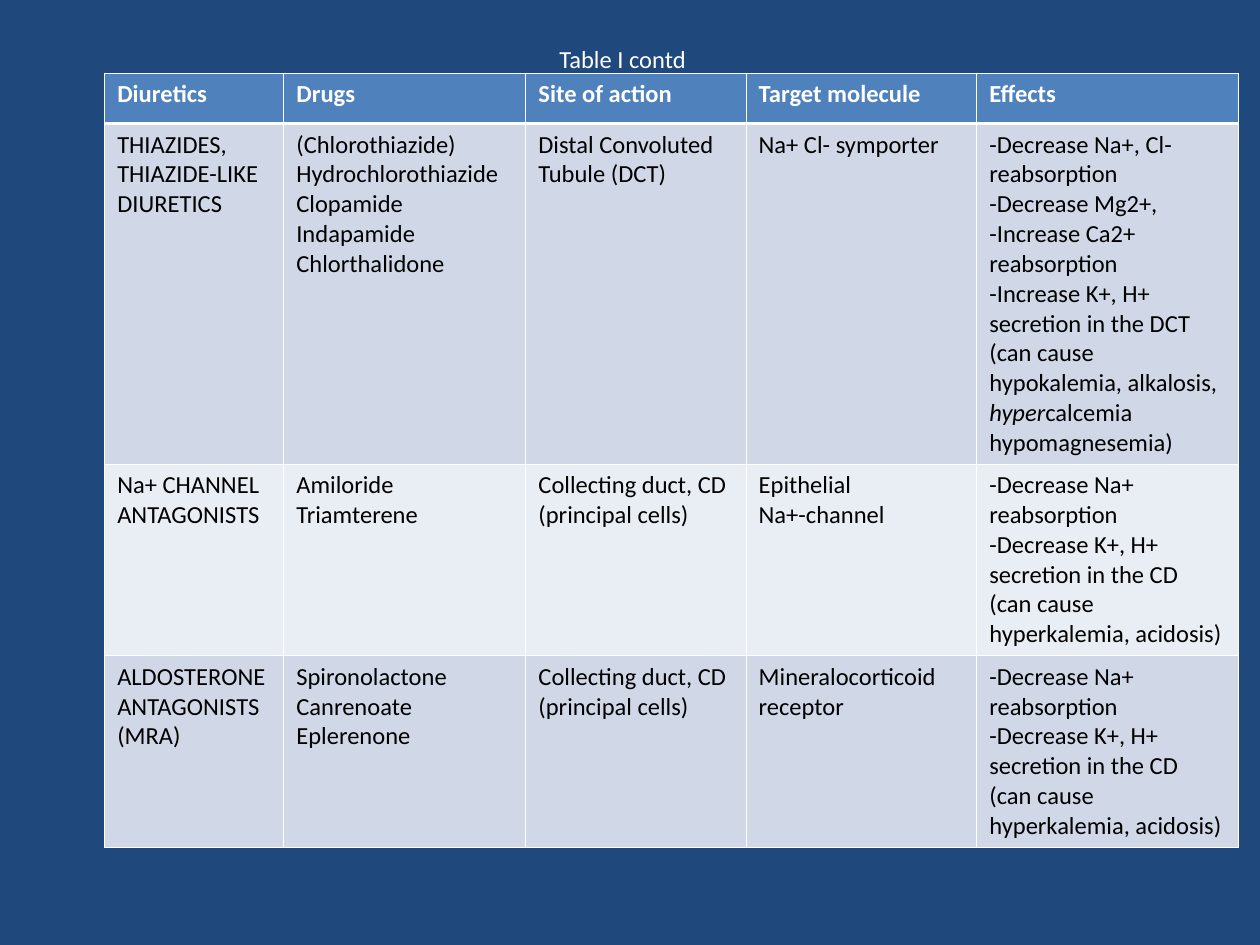
from dataclasses import dataclass
from typing import NamedTuple

from lxml import etree
from pptx import Presentation
from pptx import util as u
from pptx.dml.color import RGBColor
from pptx.enum import text
from pptx.oxml import ns


@dataclass(frozen=True)
class Theme:
    font: str = "Calibri"
    size: u.Length = u.Pt(14)
    background: RGBColor = RGBColor(0x1F, 0x49, 0x7D)
    header: RGBColor = RGBColor(0x4F, 0x81, 0xBD)
    bands: tuple = (RGBColor(0xD0, 0xD8, 0xE8), RGBColor(0xE9, 0xED, 0xF4))
    light: RGBColor = RGBColor(0xFF, 0xFF, 0xFF)
    dark: RGBColor = RGBColor(0, 0, 0)
    rule: u.Length = u.Pt(0.45)
    heavy_rule: u.Length = u.Pt(1.47)


THEME = Theme()


class DrugClass(NamedTuple):
    """One table row; each line is a paragraph and *stars* mark italics."""
    diuretics: str
    drugs: str
    site: str
    target: str
    effects: str
    height: float


HEADINGS = ("Diuretics", "Drugs", "Site of action", "Target molecule", "Effects")
HEADER_HEIGHT = 1.02
COLUMN_WIDTHS = (3.61, 4.88, 4.44, 4.65, 5.28)

COLLECTING_DUCT = "Collecting duct, CD\n(principal cells)"
POTASSIUM_SPARING = (
    "-Decrease Na+ reabsorption\n"
    "-Decrease K+, H+ secretion in the CD\n"
    "(can cause hyperkalemia, acidosis)"
)
DRUG_CLASSES = (
    DrugClass(
        "THIAZIDES,\nTHIAZIDE-LIKE\nDIURETICS",
        "(Chlorothiazide)\nHydrochlorothiazide\nClopamide\nIndapamide\nChlorthalidone",
        "Distal Convoluted Tubule (DCT)",
        "Na+ Cl- symporter",
        "-Decrease Na+, Cl- reabsorption\n"
        "-Decrease Mg2+,\n"
        "-Increase Ca2+ reabsorption\n"
        "-Increase K+, H+ secretion in the DCT\n"
        "(can cause hypokalemia, alkalosis,\n"
        "*hyper*calcemia\n"
        "hypomagnesemia)",
        6.78,
    ),
    DrugClass(
        "Na+ CHANNEL\nANTAGONISTS",
        "Amiloride\nTriamterene",
        COLLECTING_DUCT,
        "Epithelial\nNa+-channel",
        POTASSIUM_SPARING,
        3.81,
    ),
    DrugClass(
        "ALDOSTERONE\nANTAGONISTS\n(MRA)",
        "Spironolactone\nCanrenoate\nEplerenone",
        COLLECTING_DUCT,
        "Mineralocorticoid\nreceptor",
        POTASSIUM_SPARING,
        3.81,
    ),
)


def write_text(frame, content: str, color: RGBColor, bold: bool = False) -> None:
    """Write one paragraph per line, with starred parts in italics."""
    for number, line in enumerate(content.split("\n")):
        para = frame.add_paragraph() if number else frame.paragraphs[0]
        para.font.name = THEME.font
        para.font.size = THEME.size
        para.font.bold = bold
        para.font.color.rgb = color
        for part_number, part in enumerate(line.split("*")):
            if part:
                span = para.add_run()
                span.text = part
                if part_number % 2:
                    span.font.italic = True


def set_borders(cell, top: u.Length, bottom: u.Length) -> None:
    """Rule all four sides; border elements must come before the fill."""
    properties = cell._tc.get_or_add_tcPr()
    sides = (("lnL", THEME.rule), ("lnR", THEME.rule), ("lnT", top), ("lnB", bottom))
    for position, (side, width) in enumerate(sides):
        line = etree.Element(ns.qn(f"a:{side}"), w=str(int(width)))
        fill = etree.SubElement(line, ns.qn("a:solidFill"))
        etree.SubElement(fill, ns.qn("a:srgbClr"), val=str(THEME.light))
        properties.insert(position, line)


def add_title(page, content: str) -> None:
    title = page.shapes.title
    title.left, title.top = u.Cm(1.12), u.Cm(0.64)
    title.width, title.height = u.Cm(22.86), u.Cm(1.07)
    frame = title.text_frame
    frame.auto_size = text.MSO_AUTO_SIZE.NONE
    frame.vertical_anchor = text.MSO_ANCHOR.MIDDLE
    write_text(frame, content, THEME.light)
    frame.paragraphs[0].alignment = text.PP_ALIGN.CENTER


def add_drug_table(page) -> None:
    rows = (HEADINGS, *(entry[:-1] for entry in DRUG_CLASSES))
    heights = (HEADER_HEIGHT, *(entry.height for entry in DRUG_CLASSES))
    table = page.shapes.add_table(
        len(rows), len(HEADINGS), u.Cm(2.11), u.Cm(1.47),
        u.Cm(sum(COLUMN_WIDTHS)), u.Cm(sum(heights)),
    ).table
    for column, width in zip(table.columns, COLUMN_WIDTHS):
        column.width = u.Cm(width)
    for row_number, (contents, height) in enumerate(zip(rows, heights)):
        table.rows[row_number].height = u.Cm(height)
        is_header = row_number == 0
        band = THEME.header if is_header else THEME.bands[(row_number - 1) % 2]
        color = THEME.light if is_header else THEME.dark
        top = THEME.heavy_rule if row_number == 1 else THEME.rule
        bottom = THEME.heavy_rule if is_header else THEME.rule
        for cell, content in zip(table.rows[row_number].cells, contents):
            cell.fill.solid()
            cell.fill.fore_color.rgb = band
            set_borders(cell, top, bottom)
            write_text(cell.text_frame, content, color, bold=is_header)


def main() -> None:
    deck = Presentation()
    deck.slide_width, deck.slide_height = u.Cm(25.4), u.Cm(19.05)

    # Page with a title-only layout
    page = deck.slides.add_slide(deck.slide_layouts.get_by_name("Title Only"))
    page.background.fill.solid()
    page.background.fill.fore_color.rgb = THEME.background

    # Content
    add_title(page, "Table I contd")
    add_drug_table(page)
    deck.save("out.pptx")


if __name__ == "__main__":
    main()
